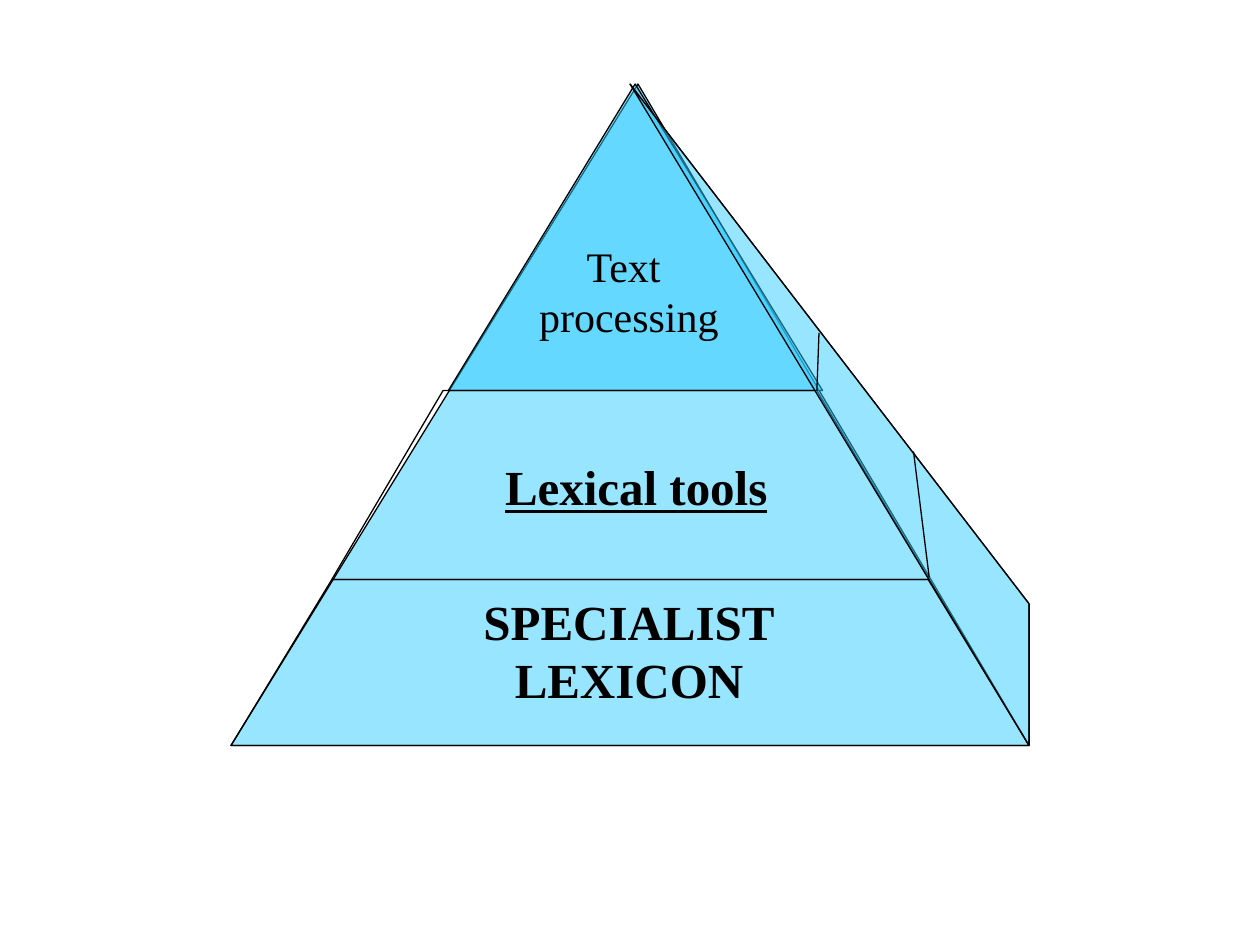
from dataclasses import dataclass

from lxml.etree import SubElement
from pptx import Presentation
from pptx.dml.color import RGBColor
from pptx.enum.shapes import MSO_CONNECTOR, MSO_SHAPE
from pptx.enum.text import MSO_ANCHOR, PP_ALIGN
from pptx.oxml.ns import qn
from pptx.slide import Slide
from pptx.util import Inches, Pt

BLACK = RGBColor(0x00, 0x00, 0x00)
SKY = RGBColor(0x33, 0xCC, 0xFF)

COLUMNS, ROWS = 120, 90
LEFT, RIGHT = 22, 98
TOP, BASE = 8, 71
TOOLS_TOP, LEXICON_TOP = 37.2, 55.2
SIDE_TOP = 57.5
SIDE_APEX = (60, TOP)


def write(frame, text, size, bold=False, underline=False):
    """Put one centred paragraph in the frame for each line of text."""
    for number, line in enumerate(text.split("\n")):
        paragraph = frame.add_paragraph() if number else frame.paragraphs[0]
        paragraph.alignment = PP_ALIGN.CENTER
        run = paragraph.add_run()
        run.text = line
        run.font.name = "Times New Roman"
        run.font.size = Pt(size)
        run.font.bold = bold
        run.font.underline = underline
        run.font.color.rgb = BLACK


@dataclass
class PyramidSlide:
    """Draws on a slide; all lengths are columns and rows of the grid."""
    slide: Slide
    width: int
    height: int
    face: RGBColor = SKY
    opacity: int = 50
    edge: RGBColor = BLACK
    edge_width: float = 0.75

    def place(self, column, row):
        return (round(column * self.width / COLUMNS),
                round(row * self.height / ROWS))

    def outline(self, shape):
        shape.line.color.rgb = self.edge
        shape.line.width = Pt(self.edge_width)

    def paint(self, shape, filled):
        shape.shadow.inherit = False
        self.outline(shape)
        if not filled:
            shape.fill.background()
            return
        shape.fill.solid()
        shape.fill.fore_color.rgb = self.face
        color = shape.element.spPr.find(qn("a:solidFill")).find(qn("a:srgbClr"))
        SubElement(color, qn("a:alpha")).set("val", str(self.opacity * 1000))

    def triangle(self, column, row, columns, rows, apex):
        triangle = self.slide.shapes.add_shape(
            MSO_SHAPE.ISOSCELES_TRIANGLE,
            *self.place(column, row), *self.place(columns, rows))
        triangle.adjustments[0] = apex
        self.paint(triangle, filled=True)

    def polygon(self, *corners, filled=False):
        start, *others = [self.place(*corner) for corner in corners]
        builder = self.slide.shapes.build_freeform(*start)
        builder.add_line_segments(others, close=True)
        self.paint(builder.convert_to_shape(), filled)

    def line(self, start, end):
        edge = self.slide.shapes.add_connector(
            MSO_CONNECTOR.STRAIGHT, *self.place(*start), *self.place(*end))
        self.outline(edge)
        SubElement(edge.element.spPr, qn("a:effectLst"))

    def label(self, text, column, row, columns, rows, **style):
        box = self.slide.shapes.add_textbox(
            *self.place(column, row), *self.place(columns, rows))
        box.text_frame.word_wrap = False
        box.text_frame.vertical_anchor = MSO_ANCHOR.MIDDLE
        write(box.text_frame, text, **style)


def main():
    deck = Presentation()
    deck.slide_width, deck.slide_height = Inches(10), Inches(7.5)
    slide = deck.slides.add_slide(deck.slide_layouts[6])
    pyramid = PyramidSlide(slide, deck.slide_width, deck.slide_height)

    pyramid.triangle(LEFT, TOP, RIGHT - LEFT, BASE - TOP, apex=0.51)
    pyramid.line(SIDE_APEX, (RIGHT, SIDE_TOP))
    pyramid.label("Lexical tools", 42.2, 41.8, 36.8, 9,
                  size=28, bold=True, underline=True)

    pyramid.polygon((42.7, TOOLS_TOP), (60.5, TOP), (78.35, TOOLS_TOP),
                    filled=True)
    pyramid.label("Text\n processing", 48.1, 21.5, 22.6, 12.4, size=24)

    pyramid.polygon((31.6, LEXICON_TOP), (42.2, TOOLS_TOP),
                    (77.8, TOOLS_TOP), (88.5, LEXICON_TOP))
    pyramid.line((RIGHT, BASE), (RIGHT, SIDE_TOP))
    pyramid.label("SPECIALIST\nLEXICON", 32.6, LEXICON_TOP, 54.6, 13.4,
                  size=28, bold=True)
    pyramid.polygon((LEFT, BASE), (31.6, LEXICON_TOP),
                    (88.4, LEXICON_TOP), (RIGHT, BASE))

    pyramid.polygon((RIGHT, BASE), SIDE_APEX, (RIGHT, SIDE_TOP), filled=True)
    pyramid.line((88.5, 55), (87, 43))
    pyramid.line((77.8, TOOLS_TOP), (78, 31.7))

    deck.save("out.pptx")


if __name__ == "__main__":
    main()
